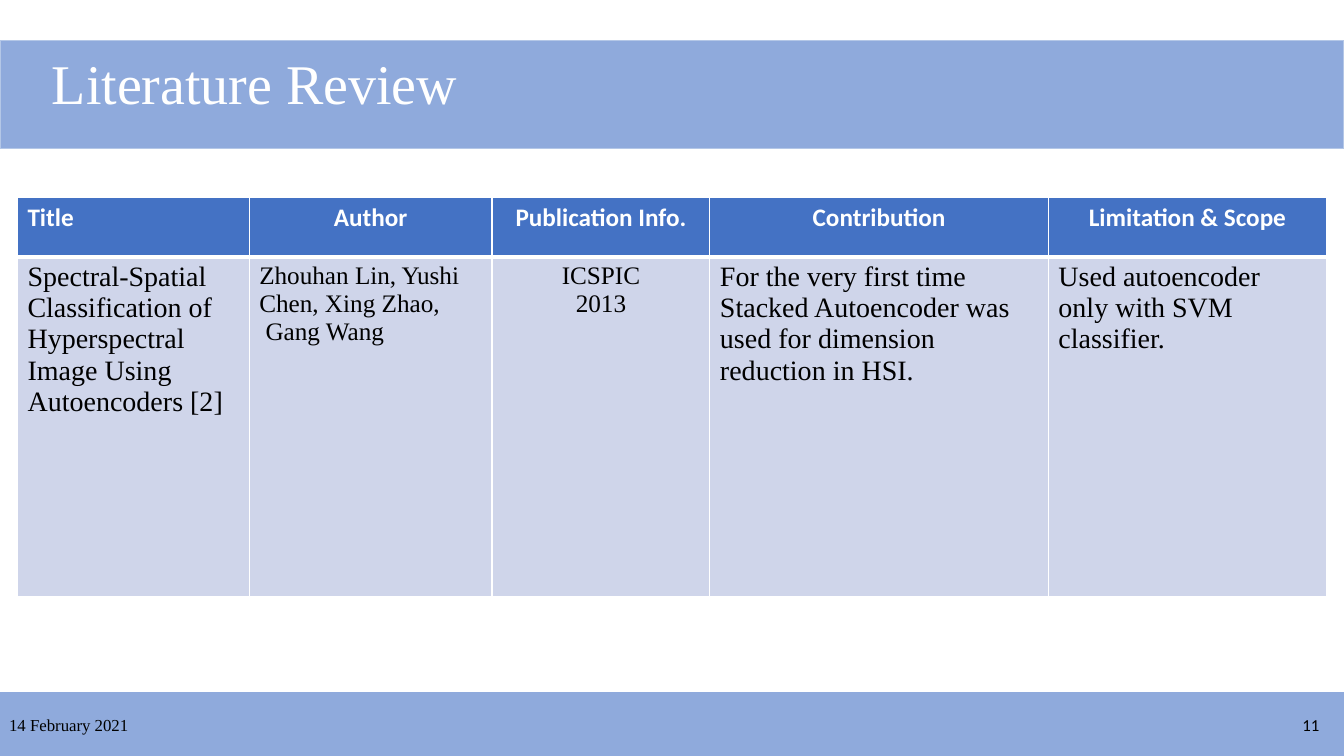
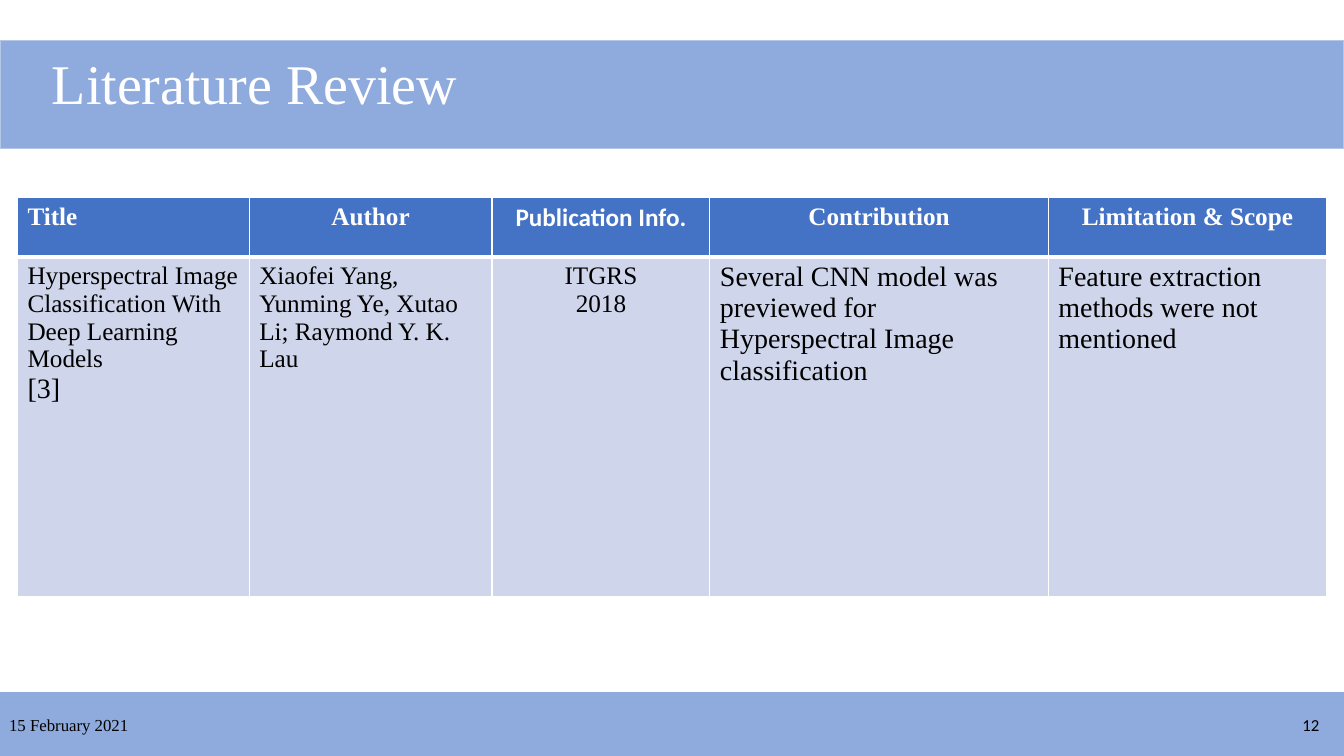
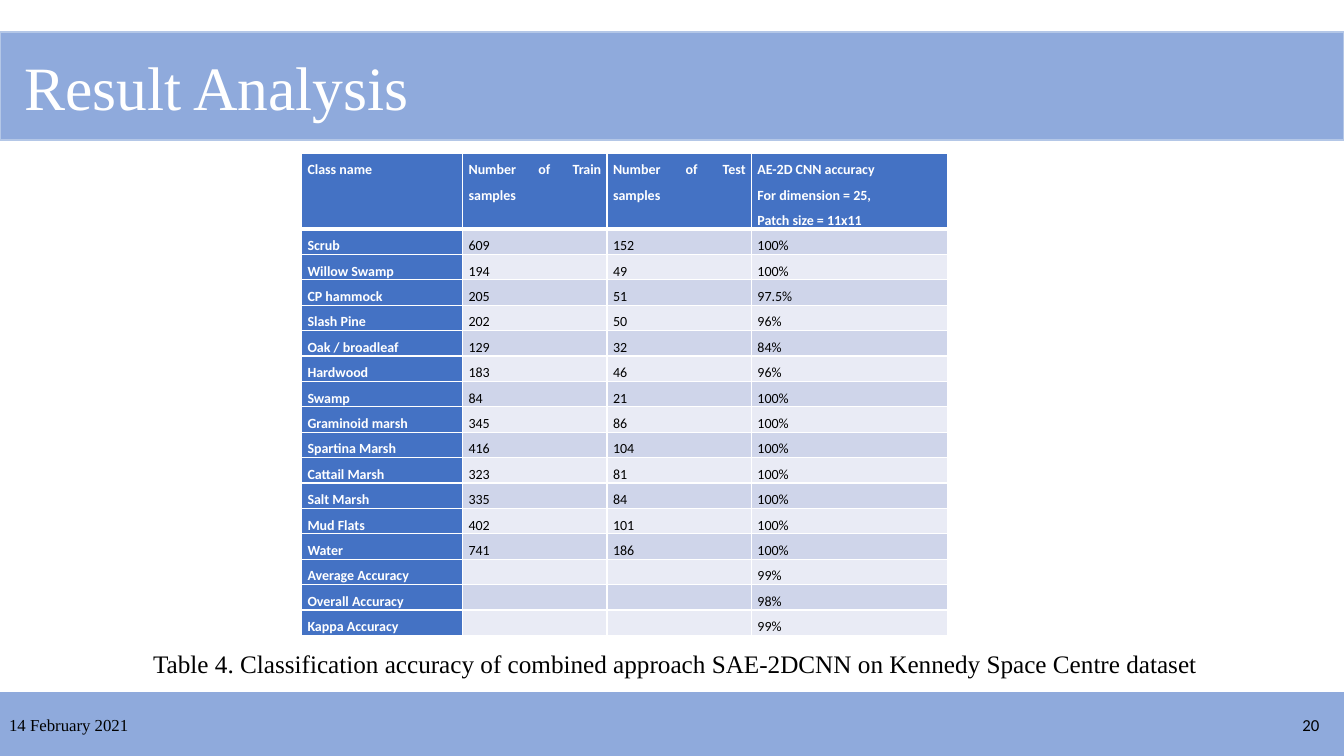
import pptx
import pptx.dml.color
import pptx.enum.shapes
import pptx.enum.text
import pptx.oxml
import pptx.oxml.ns
import pptx.util

Cm = pptx.util.Cm
Pt = pptx.util.Pt
ALIGN = pptx.enum.text.PP_ALIGN
ANCHOR = pptx.enum.text.MSO_ANCHOR

COLORS = {
    "band": "8FAADC",
    "band_line": "B4C7E7",
    "header": "4472C4",
    "dark_row": "CFD5EA",
    "light_row": "E9EBF5",
    "white": "FFFFFF",
    "black": "000000",
}
SERIF, SANS = "Times New Roman", "Calibri"
SIDES = ("lnL", "lnR", "lnT", "lnB")


def write(frame, lines, face, size, color="black", bold=False,
          align=ALIGN.LEFT, spacing=None):
    """Fill a text frame; a line is a string or a (string, size) pair."""
    for index, line in enumerate(lines):
        text, points = line if isinstance(line, tuple) else (line, size)
        para = frame.paragraphs[0] if index == 0 else frame.add_paragraph()
        para.alignment, para.line_spacing = align, spacing
        if not text:
            # An empty cell would otherwise grow to the default text size.
            para._p.get_or_add_endParaRPr().set("sz", str(points * 100))
            continue
        span = para.add_run()
        span.text = text
        span.font.color.rgb = pptx.dml.color.RGBColor.from_string(COLORS[color])
        for name, value in {"name": face, "size": Pt(points), "bold": bold}.items():
            setattr(span.font, name, value)


def style_cell(cell, fill, row):
    """Draw white borders, thick below the header row, then fill the cell."""
    properties = cell._tc.get_or_add_tcPr()
    for side in SIDES:
        thick = (row, side) in ((0, "lnB"), (1, "lnT"))
        properties.append(pptx.oxml.parse_xml(
            f'<a:{side} {pptx.oxml.ns.nsdecls("a")} w="{Pt(3 if thick else 1)}">'
            f'<a:solidFill><a:srgbClr val="{COLORS["white"]}"/></a:solidFill></a:{side}>'))
    cell.fill.solid()
    cell.fill.fore_color.rgb = pptx.dml.color.RGBColor.from_string(COLORS[fill])


deck = pptx.Presentation()
deck.slide_width, deck.slide_height = Cm(33.87), Cm(19.05)
blank = deck.slide_layouts[6]

# Bands, footers and titles
frames = [
    {"title": "Literature Review", "size": 40, "left": 1.06, "band_top": 1.02,
     "date": "14 February 2021", "number": "11"},
    {"title": "Literature Review", "size": 40, "left": 1.06, "band_top": 1.02,
     "date": "15 February 2021", "number": "12"},
    {"title": "Result Analysis", "size": 44, "left": 0.36, "band_top": 0.81,
     "date": "14 February 2021", "number": "20"},
]
pages = []
for item in frames:
    page = deck.slides.add_slide(blank)
    pages.append(page)
    for top, height, line in ((17.45, 1.6, "band"), (item["band_top"], 2.72, "band_line")):
        band = page.shapes.add_shape(pptx.enum.shapes.MSO_SHAPE.RECTANGLE,
                                     0, Cm(top), deck.slide_width, Cm(height))
        band.shadow.inherit = False
        band.fill.solid()
        band.fill.fore_color.rgb = pptx.dml.color.RGBColor.from_string(COLORS["band"])
        band.line.color.rgb = pptx.dml.color.RGBColor.from_string(COLORS[line])
        band.line.width = Pt(1)
    for text, face, left, align in (
        (item["date"], SERIF, -0.02, ALIGN.LEFT),
        (item["number"], SANS, 25.88, ALIGN.RIGHT),
    ):
        box = page.shapes.add_textbox(Cm(left), Cm(17.75), Cm(7.62), Cm(1.01))
        box.text_frame.word_wrap = True
        box.text_frame.vertical_anchor = ANCHOR.MIDDLE
        write(box.text_frame, [text], face, 12, align=align)
    box = page.shapes.add_textbox(Cm(item["left"]), Cm(1.1), Cm(11), Cm(1.96))
    box.text_frame.word_wrap = True
    write(box.text_frame, [item["title"]], SERIF, item["size"], "white")

# Literature tables
headings = ["Title", "Author", "Publication Info.", "Contribution", "Limitation & Scope"]
reviews = [
    ([SANS] * 5, [
        [("Spectral-Spatial Classification of Hyperspectral Image Using Autoencoders [2]", 20)],
        ["Zhouhan Lin, Yushi Chen, Xing Zhao,", " Gang Wang"],
        ["ICSPIC", "2013"],
        [("For the very first time Stacked Autoencoder was used for dimension "
          "reduction in HSI.", 20)],
        [("Used autoencoder only with SVM classifier.", 20)],
    ]),
    ([SERIF, SERIF, SANS, SERIF, SERIF], [
        ["Hyperspectral Image Classification With Deep Learning Models", ("[3]", 20)],
        ["Xiaofei Yang, Yunming Ye, Xutao Li; Raymond Y. K. Lau"],
        ["ITGRS", "2018"],
        [("Several CNN model was previewed for Hyperspectral Image classification", 20)],
        [("Feature extraction methods were not mentioned", 20)],
    ]),
]
review_widths = [5.84, 6.12, 5.49, 8.53, 7.01]
for page, (faces, entries) in zip(pages, reviews):
    table = page.shapes.add_table(2, 5, Cm(0.44), Cm(4.98),
                                  Cm(sum(review_widths)), Cm(10.05)).table
    table.rows[0].height, table.rows[1].height = Cm(1.49), Cm(8.56)
    for column, width in enumerate(review_widths):
        table.columns[column].width = Cm(width)
        heading, entry = table.cell(0, column), table.cell(1, column)
        style_cell(heading, "header", 0)
        style_cell(entry, "dark_row", 1)
        write(heading.text_frame, [headings[column]], faces[column], 18, "white", True,
              ALIGN.CENTER if column else ALIGN.LEFT)
        write(entry.text_frame, entries[column], SERIF, 18,
              align=ALIGN.CENTER if column == 2 else ALIGN.LEFT)

# Accuracy table
results = [
    ("Class name", "Number of Train samples", "Number of Test samples",
     "AE-2D CNN accuracy\nFor dimension = 25,\nPatch size = 11x11"),
    ("Scrub", "609", "152", "100%"),
    ("Willow Swamp", "194", "49", "100%"),
    ("CP hammock", "205", "51", "97.5%"),
    ("Slash Pine", "202", "50", "96%"),
    ("Oak / broadleaf", "129", "32", "84%"),
    ("Hardwood", "183", "46", "96%"),
    ("Swamp", "84", "21", "100%"),
    ("Graminoid marsh", "345", "86", "100%"),
    ("Spartina Marsh", "416", "104", "100%"),
    ("Cattail Marsh", "323", "81", "100%"),
    ("Salt Marsh", "335", "84", "100%"),
    ("Mud Flats", "402", "101", "100%"),
    ("Water", "741", "186", "100%"),
    ("Average Accuracy", "", "", "99%"),
    ("Overall Accuracy", "", "", "98%"),
    ("Kappa Accuracy", "", "", "99%"),
]
result_widths = [4.06, 3.64, 3.64, 4.93]
page = pages[2]
table = page.shapes.add_table(len(results), 4, Cm(7.6), Cm(3.86),
                              Cm(sum(result_widths)), Cm(12.15)).table
for column, width in enumerate(result_widths):
    table.columns[column].width = Cm(width)
margins = {"margin_left": Cm(0.15), "margin_right": Cm(0.15),
           "margin_top": 0, "margin_bottom": 0}
for row, values in enumerate(results):
    table.rows[row].height = Cm(0.64 if row else 1.91)
    for column, value in enumerate(values):
        cell = table.cell(row, column)
        for name, margin in margins.items():
            setattr(cell, name, margin)
        is_heading = row == 0 or column == 0
        stripe = "dark_row" if row % 2 else "light_row"
        style_cell(cell, "header" if is_heading else stripe, row)
        write(cell.text_frame, value.split("\n"), SANS, 10,
              "white" if is_heading else "black", is_heading, ALIGN.JUSTIFY, 1.5)

caption = page.shapes.add_textbox(Cm(3.61), Cm(16.21), Cm(27.1), Cm(1.8))
caption.text_frame.word_wrap = True
write(caption.text_frame,
      ["Table 4. Classification accuracy of combined approach SAE-2DCNN "
       "on Kennedy Space Centre dataset"], SERIF, 18)

deck.save("out.pptx")
